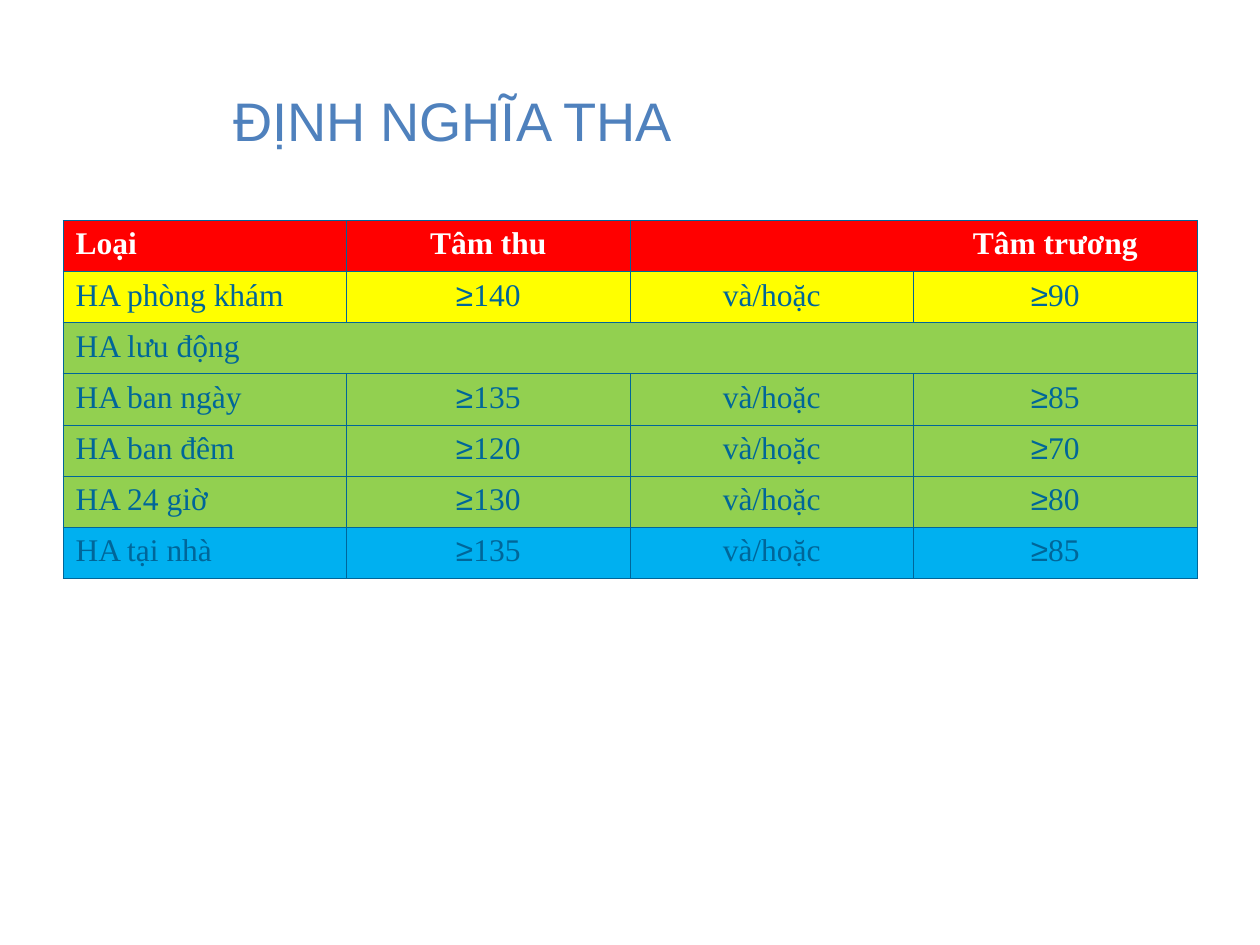
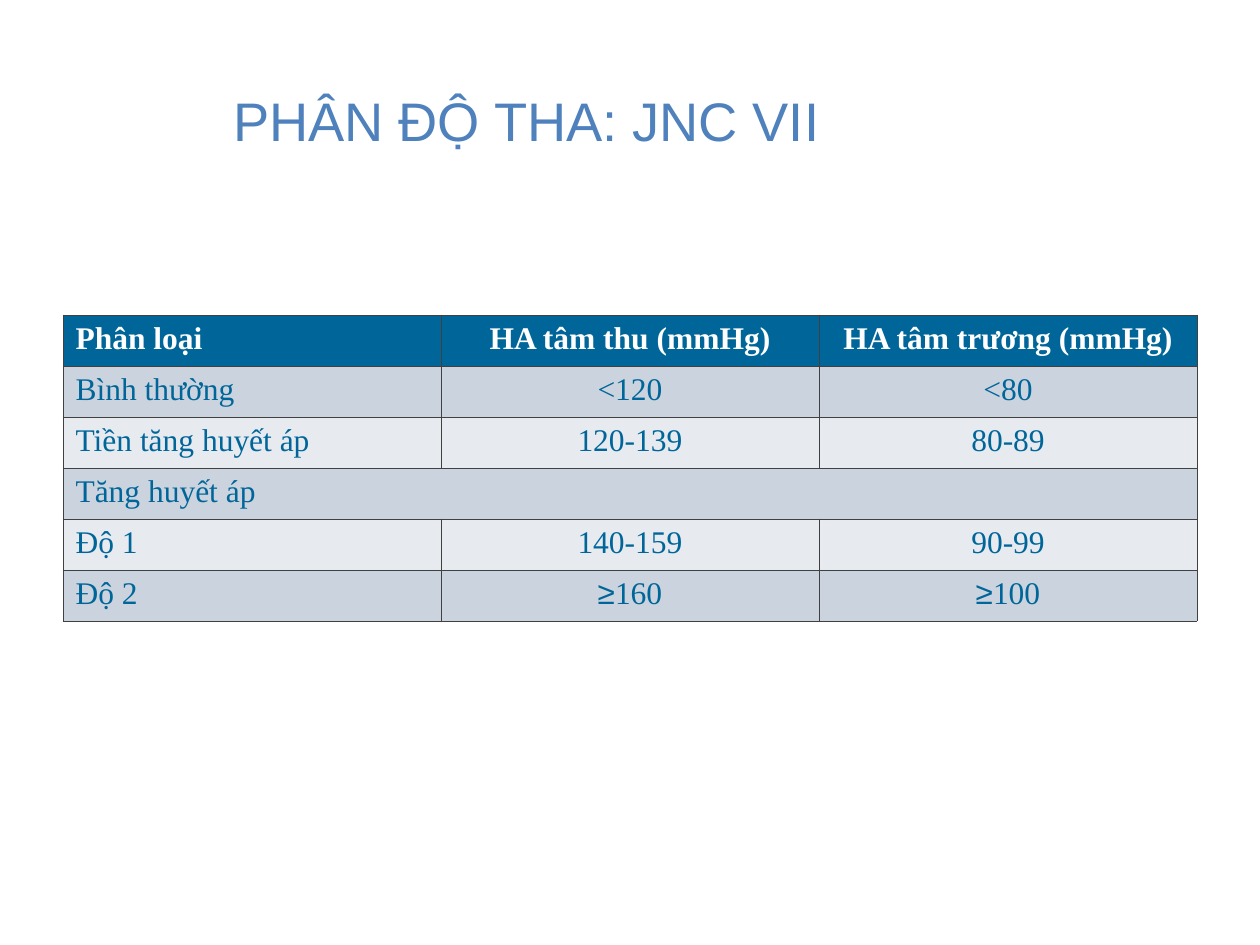
from lxml import etree
from pptx import Presentation
from pptx.dml.color import RGBColor
from pptx.enum.text import MSO_ANCHOR, MSO_AUTO_SIZE, PP_ALIGN
from pptx.oxml.ns import qn
from pptx.util import Inches, Pt

TITLE_FONT, BODY_FONT = "Arial", "Times New Roman"
TITLE_BLUE, TEAL, WHITE, GREY = "4F81BD", "006699", "FFFFFF", "404040"
RED, YELLOW, GREEN, SKY = "FF0000", "FFFF00", "92D050", "00B0F0"
BAND_DARK, BAND_LIGHT = "CBD3DE", "E7EAEF"
TITLE_BOX = (1.75, 0.5, 6.08, 0.77)
AND_OR = "và/hoặc"

# Each row is its fill and its cells; a single cell spans the whole row
DEFINITION_ROWS = [
    (RED, ["Loại", "Tâm thu", "", "Tâm trương"]),
    (YELLOW, ["HA phòng khám", "≥140", AND_OR, "≥90"]),
    (GREEN, ["HA lưu động"]),
    (GREEN, ["HA ban ngày", "≥135", AND_OR, "≥85"]),
    (GREEN, ["HA ban đêm", "≥120", AND_OR, "≥70"]),
    (GREEN, ["HA 24 giờ", "≥130", AND_OR, "≥80"]),
    (SKY, ["HA tại nhà", "≥135", AND_OR, "≥85"]),
]
GRADE_ROWS = [
    (TEAL, ["Phân loại", "HA tâm thu (mmHg)", "HA tâm trương (mmHg)"]),
    (BAND_DARK, ["Bình thường", "<120", "<80"]),
    (BAND_LIGHT, ["Tiền tăng huyết áp", "120-139", "80-89"]),
    (BAND_DARK, ["Tăng huyết áp"]),
    (BAND_LIGHT, ["Độ 1", "140-159", "90-99"]),
    (BAND_DARK, ["Độ 2", "≥160", "≥100"]),
]


def rgb(color):
    return RGBColor.from_string(color)


def add_run(p, text, font, size, color, bold=False):
    r = p.add_run()
    r.text = text
    r.font.name, r.font.size, r.font.bold = font, Pt(size), bold
    r.font.color.rgb = rgb(color)


def add_title(s, text, box):
    title = s.shapes.title
    title.left, title.top, title.width, title.height = map(Inches, box)
    tf = title.text_frame
    tf.auto_size = MSO_AUTO_SIZE.NONE
    tf.word_wrap = True
    tf.vertical_anchor = MSO_ANCHOR.BOTTOM
    p = tf.paragraphs[0]
    p.alignment, p.line_spacing = PP_ALIGN.LEFT, 0.9
    add_run(p, text, TITLE_FONT, 31, TITLE_BLUE)


def set_borders(cell, color, hidden):
    tc_pr = cell._tc.get_or_add_tcPr()
    for side in ("lnL", "lnR", "lnT", "lnB"):
        ln = etree.SubElement(tc_pr, qn("a:" + side), w=str(Pt(0.45)))
        if side in hidden:
            etree.SubElement(ln, qn("a:noFill"))
        else:
            fill = etree.SubElement(ln, qn("a:solidFill"))
            etree.SubElement(fill, qn("a:srgbClr"), val=color)


def fill_cell(cell, text, fill, border, is_header, is_label, hidden):
    set_borders(cell, border, hidden)
    cell.fill.solid()
    cell.fill.fore_color.rgb = rgb(fill)
    p = cell.text_frame.paragraphs[0]
    p.alignment = PP_ALIGN.LEFT if is_label else PP_ALIGN.CENTER
    color = WHITE if is_header else TEAL
    # The sign is set in the title font, the figure in the body font
    if text.startswith("≥"):
        add_run(p, "≥", TITLE_FONT, 18, color)
        text = text[1:]
    if text:
        add_run(p, text, BODY_FONT, 18, color, is_header)


def add_pressure_table(s, rows, box, border):
    n_cols = len(rows[0][1])
    left, top, width, height = map(Inches, box)
    table = s.shapes.add_table(len(rows), n_cols, left, top, width, height).table
    for i, (fill, texts) in enumerate(rows):
        if len(texts) == 1:
            table.cell(i, 0).merge(table.cell(i, n_cols - 1))
        for j, text in enumerate(texts + [""] * (n_cols - len(texts))):
            # An empty header cell runs into the one on its right
            hidden = []
            if i == 0 and text == "":
                hidden.append("lnR")
            if i == 0 and j and texts[j - 1] == "":
                hidden.append("lnL")
            fill_cell(table.cell(i, j), text, fill, border, i == 0, j == 0, hidden)


def add_table_slide(prs, title, rows, box, border):
    s = prs.slides.add_slide(prs.slide_layouts[5])
    add_title(s, title, TITLE_BOX)
    add_pressure_table(s, rows, box, border)


def main():
    prs = Presentation()
    prs.slide_width, prs.slide_height = Inches(10), Inches(7.5)
    add_table_slide(prs, "ĐỊNH NGHĨA THA", DEFINITION_ROWS, (0.5, 1.75, 9, 2.84), TEAL)
    add_table_slide(prs, "PHÂN ĐỘ THA: JNC VII", GRADE_ROWS, (0.5, 2.5, 9, 2.43), GREY)
    prs.save("out.pptx")


if __name__ == "__main__":
    main()
